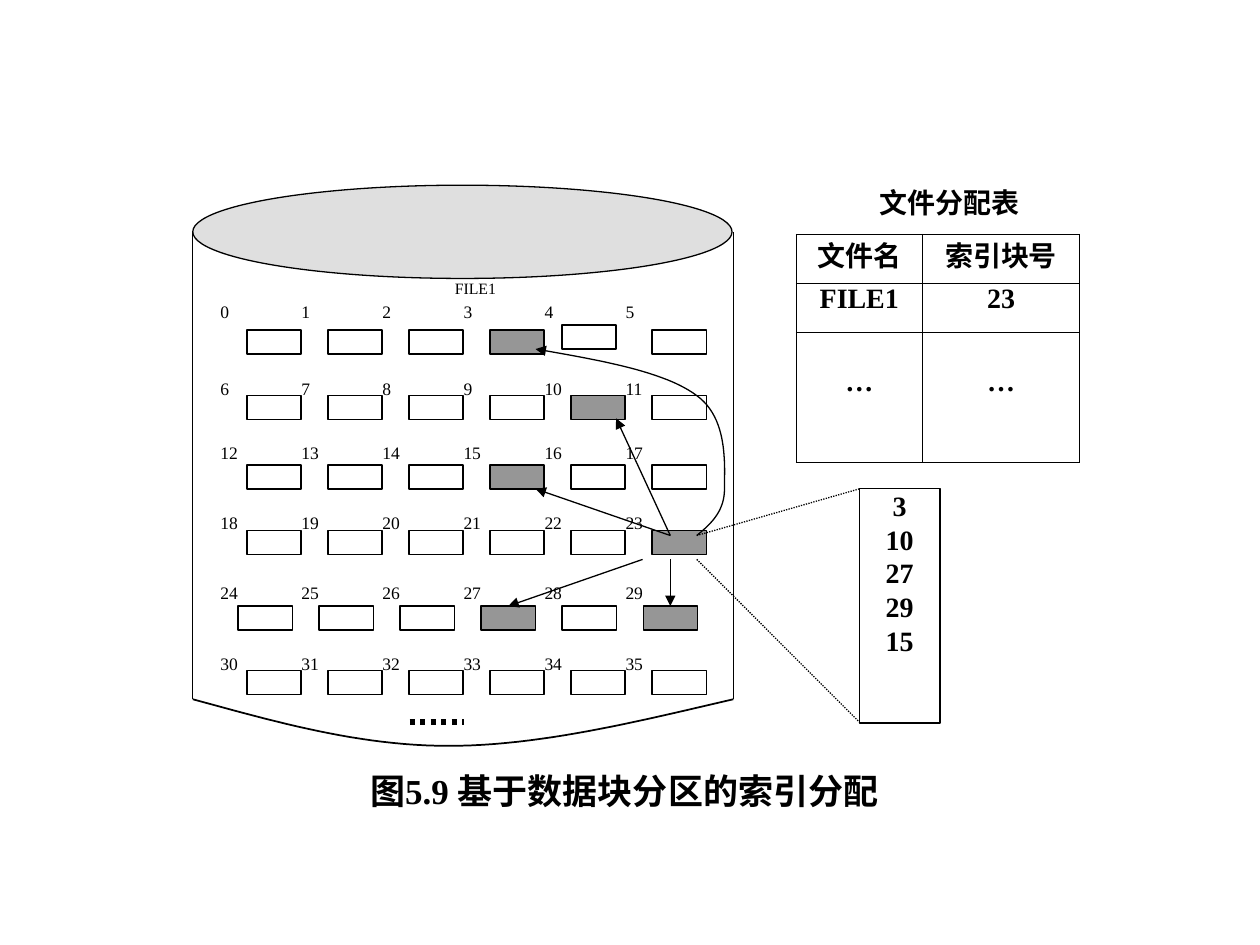
from pptx import Presentation
from pptx.dml.color import RGBColor
from pptx.enum import dml, shapes, text
from pptx.oxml import ns
from pptx.util import Inches, Pt
from lxml import etree

COLORS = {"ink": "000000", "used": "969696", "lid": "C0C0C0"}
FONT = "Times New Roman"
COLS, STEP, BOX_W, BOX_H = 6, 0.643, 0.43, 0.19
LABEL_LEFT = 1.75
ROWS = [
    (1.96, 2.62, 2.39),
    (1.96, 3.14, 3.0),
    (1.96, 3.69, 3.51),
    (1.96, 4.21, 4.06),
    (1.89, 4.81, 4.62),
    (1.96, 5.32, 5.18),
]
MOVED = {4: (4.46, 2.58)}
INDEX_BLOCK = 23
FILE_BLOCKS = [3, 10, 27, 29, 15]


def child(parent, tag, **attrs):
    return etree.SubElement(parent, ns.qn(tag), **attrs)


def bezier(p0, p1, p2, p3, steps=24):
    for i in range(1, steps + 1):
        t = i / steps
        yield tuple(
            (1 - t) ** 3 * a + 3 * t * (1 - t) ** 2 * b + 3 * t * t * (1 - t) * c + t ** 3 * d
            for a, b, c, d in zip(p0, p1, p2, p3)
        )


class Drawing:
    def __init__(self, slide):
        self.s = slide
        self.ink = RGBColor.from_string(COLORS["ink"])

    def stroke(self, sp, width=0.75, dash=None, arrow=False):
        sp.line.color.rgb = self.ink
        sp.line.width = Pt(width)
        if dash:
            sp.line.dash_style = dash
        if arrow:
            child(sp._element.spPr.find(ns.qn("a:ln")), "a:tailEnd", type="triangle")

    def add_text(self, tf, lines, size, bold=False, align=text.PP_ALIGN.CENTER):
        for i, line in enumerate(lines):
            p = tf.paragraphs[0] if i == 0 else tf.add_paragraph()
            p.alignment = align
            r = p.add_run()
            r.text = line
            r.font.name = FONT
            r.font.size = Pt(size)
            r.font.bold = bold
            r.font.color.rgb = self.ink

    def clear_margins(self, frame):
        frame.margin_left = frame.margin_right = frame.margin_top = frame.margin_bottom = 0

    def shape(self, kind, x, y, w, h, fill=None, alpha=None):
        sp = self.s.shapes.add_shape(kind, Inches(x), Inches(y), Inches(w), Inches(h))
        sp.shadow.inherit = False
        if fill:
            sp.fill.solid()
            sp.fill.fore_color.rgb = RGBColor.from_string(COLORS[fill])
            if alpha:
                clr = sp._element.spPr.find(ns.qn("a:solidFill"))[0]
                child(clr, "a:alpha", val=str(alpha * 1000))
        else:
            sp.fill.background()
        self.stroke(sp)
        return sp

    def rect(self, x, y, w, h, fill=None):
        return self.shape(shapes.MSO_SHAPE.RECTANGLE, x, y, w, h, fill)

    def label(self, x, y, w, h, words, size, bold=False, align=text.PP_ALIGN.JUSTIFY):
        sp = self.s.shapes.add_textbox(Inches(x), Inches(y), Inches(w), Inches(h))
        tf = sp.text_frame
        tf.word_wrap = True
        self.clear_margins(tf)
        self.add_text(tf, [words], size, bold, align)

    def line(self, start, end, width=0.75, dash=None, arrow=False, target=None):
        points = [Inches(v) for v in (*start, *end)]
        cn = self.s.shapes.add_connector(shapes.MSO_CONNECTOR.STRAIGHT, *points)
        if target is not None:
            cn.end_connect(target, 0)
        self.stroke(cn, width, dash, arrow)
        child(cn._element.spPr, "a:effectLst")

    def curve(self, start, segments, width=0.75, arrow=False):
        points, here = [], start
        for seg in segments:
            points += bezier(here, *seg)
            here = seg[-1]
        builder = self.s.shapes.build_freeform(Inches(start[0]), Inches(start[1]))
        builder.add_line_segments([(Inches(x), Inches(y)) for x, y in points], close=False)
        sp = builder.convert_to_shape()
        sp.shadow.inherit = False
        sp.fill.background()
        self.stroke(sp, width, arrow=arrow)

    def table(self, x, y, widths, heights, rows):
        frame = self.s.shapes.add_table(
            len(rows), len(widths), Inches(x), Inches(y), Inches(sum(widths)), Inches(sum(heights))
        )
        tbl = frame.table
        tbl.first_row = tbl.horz_banding = False
        for col, w in zip(tbl.columns, widths):
            col.width = Inches(w)
        for row, h, words in zip(tbl.rows, heights, rows):
            row.height = Inches(h)
            for cell, word in zip(row.cells, words):
                self.clear_margins(cell)
                if word == "…":
                    cell.margin_top = Inches(0.27)
                self.add_text(cell.text_frame, [word], 16, True)
                self.border(cell)
                cell.fill.background()

    def border(self, cell):
        tc_pr = cell._tc.get_or_add_tcPr()
        for side in ("a:lnL", "a:lnR", "a:lnT", "a:lnB"):
            ln = child(tc_pr, side, w=str(Pt(0.75)))
            child(child(ln, "a:solidFill"), "a:srgbClr", val=COLORS["ink"])


def draw_blocks(d):
    boxes = {}
    for row, (left, top, label_top) in enumerate(ROWS):
        for col in range(COLS):
            n = row * COLS + col
            x, y = MOVED.get(n, (left + col * STEP, top))
            fill = "used" if n in FILE_BLOCKS + [INDEX_BLOCK] else None
            boxes[n] = d.rect(x, y, BOX_W, BOX_H, fill)
            d.label(LABEL_LEFT + col * STEP, label_top, BOX_W, 0.37, str(n), 10)
    return boxes


def main():
    prs = Presentation()
    prs.slide_width, prs.slide_height = Inches(10), Inches(7.5)
    d = Drawing(prs.slides.add_slide(prs.slide_layouts[6]))
    dots = dml.MSO_LINE.ROUND_DOT
    center = text.PP_ALIGN.CENTER

    d.label(6.32, 1.47, 2.43, 0.39, "文件分配表", 16, True, center)
    d.table(6.32, 1.86, [1, 1.25], [0.39, 0.39, 1.03],
            [("文件名", "索引块号"), ("FILE1", "23"), ("…", "…")])
    d.label(1.53, 6.11, 6.85, 0.5, "图5.9 基于数据块分区的索引分配", 20, True, center)

    d.curve((1.53, 5.55), [((2.19, 5.73), (2.85, 5.92), (3.56, 5.92)),
                           ((4.28, 5.92), (5.05, 5.73), (5.82, 5.55))], 1)
    d.shape(shapes.MSO_SHAPE.OVAL, 1.53, 1.47, 4.28, 0.74, "lid", 50)
    for x in (1.53, 5.82):
        d.line((x, 1.84), (x, 5.55))
    d.label(3.61, 2.21, 0.86, 0.37, "FILE1", 9)
    boxes = draw_blocks(d)
    d.line((3.25, 5.73), (3.68, 5.73), 3, dots)

    d.line((5.1, 4.44), (4.03, 4.81), arrow=True, target=boxes[27])
    d.line((5.32, 4.44), (5.32, 4.81), arrow=True, target=boxes[29])
    for end in ((4.25, 3.88), (4.89, 3.32)):
        d.line((5.32, 4.25), end, arrow=True)
    d.curve((5.53, 4.25), [((5.64, 4.16), (5.75, 4.06), (5.75, 3.88)),
                           ((5.75, 3.69), (5.78, 3.32), (5.53, 3.14)),
                           ((5.28, 2.95), (4.77, 2.86), (4.25, 2.77))], arrow=True)

    index = d.rect(6.82, 3.88, 0.64, 1.86)
    tf = index.text_frame
    d.clear_margins(tf)
    tf.vertical_anchor = text.MSO_ANCHOR.TOP
    d.add_text(tf, [str(n) for n in FILE_BLOCKS], 16, True)
    for start_y, end_y in ((4.25, 3.88), (4.44, 5.73)):
        d.line((5.53, start_y), (6.82, end_y), dash=dots)

    prs.save("out.pptx")


if __name__ == "__main__":
    main()
